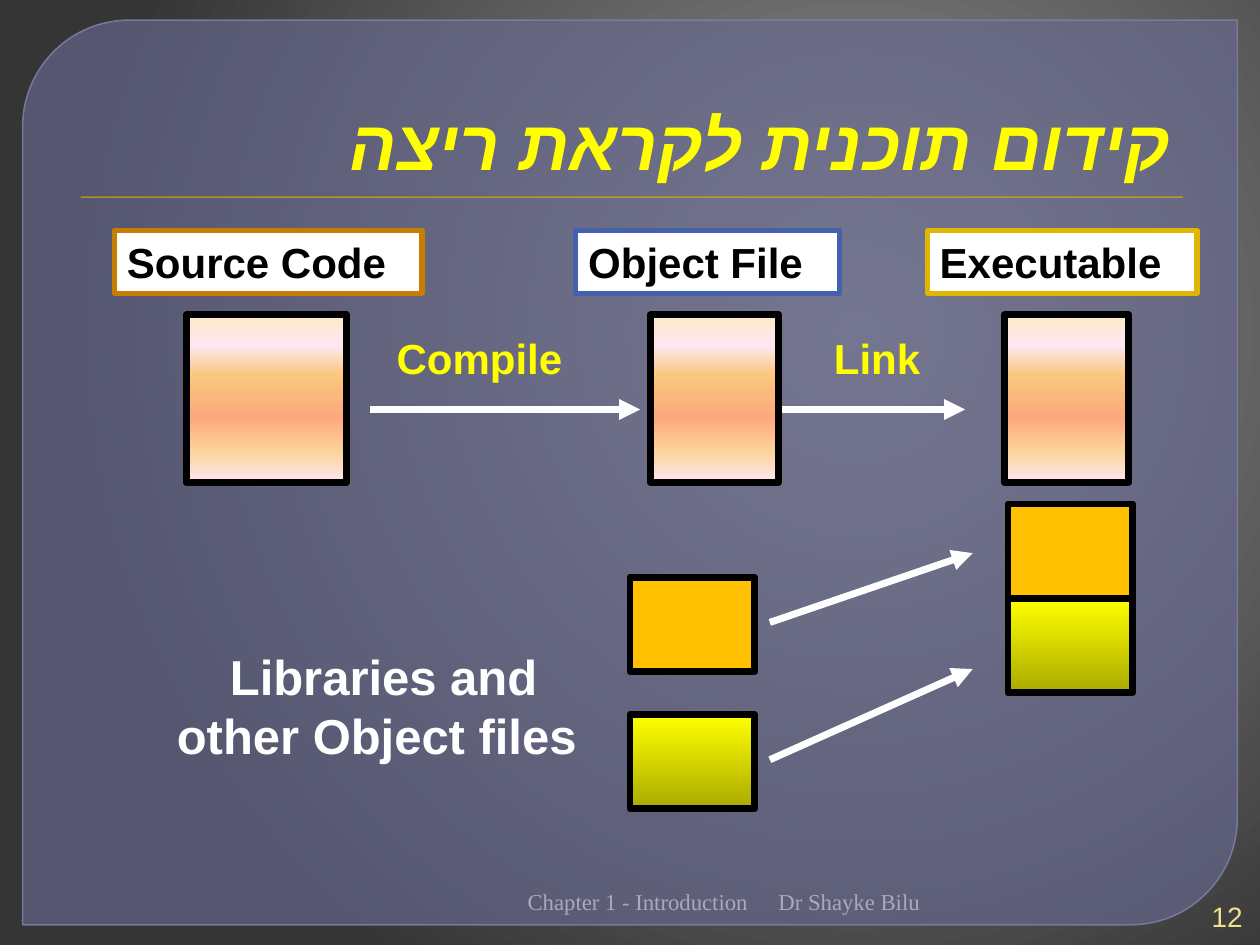
import pptx
import pptx.util
import pptx.dml.color
import pptx.enum.shapes
import pptx.enum.text
import pptx.oxml
import pptx.oxml.ns
from lxml import etree

Inches = pptx.util.Inches
Pt = pptx.util.Pt
SHAPE = pptx.enum.shapes.MSO_SHAPE
ALIGN = pptx.enum.text.PP_ALIGN
qn = pptx.oxml.ns.qn

HEX = {
    "panel": "686990", "rim": "7E7FA6", "gold": "E0B602", "rust": "C77D00",
    "blue": "4560AD", "yellow": "FFFF00", "amber": "FFC000", "black": "000000",
    "white": "FFFFFF", "foot": "A9AABD", "page": "F1E28A",
}
BACK = [(0, "8C8C8C"), (20, "7F7F7F"), (100, "353535")]
PEACH = [(0, "FBEAC7"), (18, "FEE7F2"), (36, "FAC77D"),
         (61, "FBA97D"), (82, "FBD49C"), (100, "FEE7F2")]
OLIVE = [(0, "FFFF00"), (100, "AAAA00")]


def color(name):
    return pptx.dml.color.RGBColor.from_string(HEX[name])


def blend(fill, host, stops, focus=None):
    """Fill with a gradient: top to bottom, or round a focus (l, t, r, b)."""
    fill.gradient()
    grad = host.xpath(".//a:gradFill")[0]
    for child in list(grad):
        grad.remove(child)
    items = etree.SubElement(grad, qn("a:gsLst"))
    for pos, code in stops:
        stop = etree.SubElement(items, qn("a:gs"), pos=str(pos * 1000))
        etree.SubElement(stop, qn("a:srgbClr"), val=code)
    if focus:
        ring = etree.SubElement(grad, qn("a:path"), {"path": "circle"})
        sides = {key: str(val * 1000) for key, val in zip("ltrb", focus)}
        etree.SubElement(ring, qn("a:fillToRect"), sides)
    else:
        etree.SubElement(grad, qn("a:lin"), ang="5400000", scaled="1")


def fade(fill, percent):
    """Set the opacity of a solid fill element."""
    tint = fill.find(qn("a:srgbClr"))
    etree.SubElement(tint, qn("a:alpha"), val=str(percent * 1000))


def box(slide, at, fill, line=None, width=4, kind=SHAPE.RECTANGLE):
    shape = slide.shapes.add_shape(kind, *map(Inches, at))
    shape.shadow.inherit = False
    if isinstance(fill, list):
        blend(shape.fill, shape.element, fill)
    else:
        shape.fill.solid()
        shape.fill.fore_color.rgb = color(fill)
    if line:
        shape.line.color.rgb = color(line)
        shape.line.width = Pt(width)
    else:
        shape.line.fill.background()
    return shape


def write(shape, text, size, tint, font="Arial", bold=True, italic=False,
          align=ALIGN.LEFT, rtl=False, wrap=False, middle=False, script=None):
    frame = shape.text_frame
    frame.text = text
    frame.word_wrap = wrap
    if not wrap:
        frame.auto_size = pptx.enum.text.MSO_AUTO_SIZE.SHAPE_TO_FIT_TEXT
    anchor = pptx.enum.text.MSO_ANCHOR
    frame.vertical_anchor = anchor.MIDDLE if middle else anchor.TOP
    for para in frame.paragraphs:
        para.alignment = align
        if rtl:
            para._p.get_or_add_pPr().set("rtl", "1")
        for run in para.runs:
            run.font.name = font
            run.font.size = Pt(size)
            run.font.bold = bold
            run.font.italic = italic
            run.font.color.rgb = color(tint)
            etree.SubElement(run._r.rPr, qn("a:cs"), typeface=script or font)


def label(slide, at, text, size, tint, **style):
    shape = slide.shapes.add_textbox(*map(Inches, at))
    write(shape, text, size, tint, **style)
    return shape


def arrow(slide, *ends):
    kind = pptx.enum.shapes.MSO_CONNECTOR.STRAIGHT
    line = slide.shapes.add_connector(kind, *map(Inches, ends))
    line.line.color.rgb = color("white")
    line.line.width = Pt(4)
    props = line.element.spPr
    etree.SubElement(props.find(qn("a:ln")), qn("a:tailEnd"), type="triangle")
    etree.SubElement(props, qn("a:effectLst"))


def frame(slide):
    # Backdrop, panel and rule under the title
    blend(slide.background.fill, slide.element, BACK, (68, 35, 32, 65))
    panel = box(slide, (0.18, 0.16, 9.64, 7.18), "panel", "rim", 0.87,
                SHAPE.ROUND_2_DIAG_RECTANGLE)
    panel.adjustments[0] = 0.118
    panel.adjustments[1] = 0
    props = panel.element.spPr
    fade(props.find(qn("a:solidFill")), 65)
    fade(props.find(qn("a:ln")).find(qn("a:solidFill")), 88)
    box(slide, (0.64, 1.56, 8.75, 0.01), "gold")

    # Title
    title = label(slide, (0.7, 0.78, 8.75, 0.71), "קידום תוכנית לקראת ריצה",
                  40, "yellow", italic=True, align=ALIGN.RIGHT, rtl=True,
                  wrap=True, middle=True)
    para = title.text_frame.paragraphs[0]
    para._p.get_or_add_pPr().set("marL", str(Inches(0.06)))

    # Footer and page number
    foot = dict(font="Times New Roman", bold=False, rtl=True, wrap=True)
    label(slide, (6.08, 7, 3.28, 0.3), "Dr Shayke Bilu", 13, "foot", **foot)
    foot["align"] = ALIGN.RIGHT
    label(slide, (1.42, 7, 4.61, 0.3), "Chapter 1 - Introduction", 13,
          "foot", **foot)
    label(slide, (9.45, 7.12, 0.51, 0.3), "12", 16, "page", middle=True,
          script="Arial", **foot)


def stages(slide):
    # Stage names, each over its file
    for text, left, width, line in (("Source Code", 0.91, 2.44, "rust"),
                                    ("Object File", 4.57, 2.09, "blue"),
                                    ("Executable", 7.36, 2.14, "gold")):
        shape = box(slide, (left, 1.83, width, 0.5), "white", line, 3)
        write(shape, text, 24, "black")
    for left, width in ((1.48, 1.27), (5.16, 1.02), (7.97, 0.99)):
        box(slide, (left, 2.5, width, 1.33), PEACH, "black")

    # Steps between the stages
    for text, left, width, start, end in (("Compile", 3.05, 1.53, 2.94, 5.08),
                                          ("Link", 6.52, 0.89, 6.21, 7.66)):
        label(slide, (left, 2.59, width, 0.5), text, 24, "yellow")
        arrow(slide, start, 3.25, end, 3.25)


def extras(slide):
    # Libraries on the left, linked into the program on the right
    for fill, top, goal, start, end in (("amber", 4.58, 4, 4.94, 4.39),
                                        (OLIVE, 5.67, 4.75, 6.03, 5.31)):
        box(slide, (5, top, 0.99, 0.75), fill, "black")
        box(slide, (8, goal, 0.99, 0.75), fill, "black")
        arrow(slide, 6.11, start, 7.72, end)
    label(slide, (1.19, 5.08, 3.6, 1.03), "Libraries and \nother Object files",
          28, "white", align=ALIGN.CENTER, rtl=True)


def main():
    deck = pptx.Presentation()
    deck.slide_width = Inches(10)
    deck.slide_height = Inches(7.5)
    slide = deck.slides.add_slide(deck.slide_layouts[6])
    frame(slide)
    stages(slide)
    extras(slide)
    deck.save("out.pptx")


if __name__ == "__main__":
    main()
